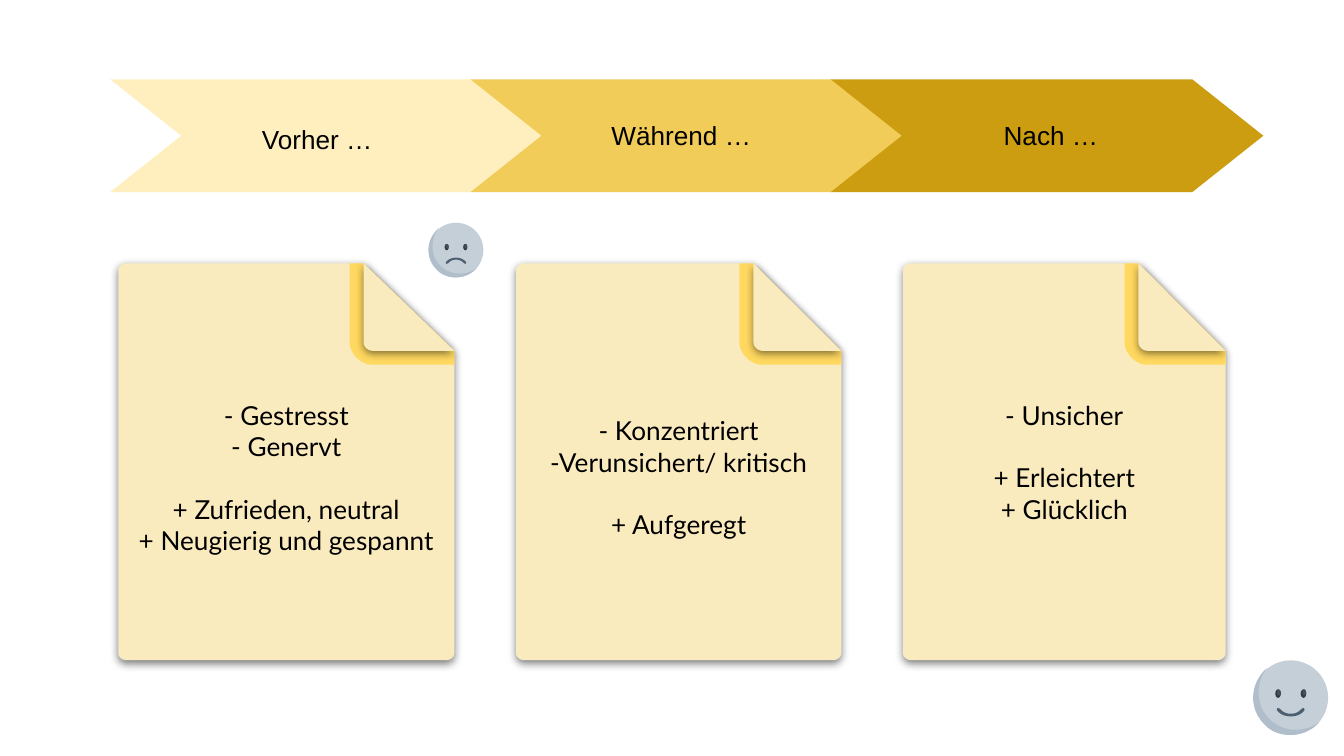
import pptx
import pptx.util
import pptx.dml.color
import pptx.enum.shapes
import pptx.enum.text
import pptx.oxml
import pptx.oxml.ns

Pt = pptx.util.Pt
MSO_SHAPE = pptx.enum.shapes.MSO_SHAPE
PP_ALIGN = pptx.enum.text.PP_ALIGN

COLORS = {
    "paper": "FAEBBE", "fold": "FFD860", "text": "000000",
    "before": "FFEFBF", "during": "F2CC58", "after": "CC9D10",
    "face": "C5CFD8", "shade": "B0BDCB", "mouth": "4C5F71",
    "eye": "383838", "glint": "3C5164",
}

SHADOW = (
    '<a:outerShdw %s blurRad="57150" dist="19050" dir="5400000" algn="bl" rotWithShape="0">'
    '<a:srgbClr val="000000"><a:alpha val="50000"/></a:srgbClr></a:outerShdw>'
    % pptx.oxml.ns.nsdecls("a")
)

SHADE = [
    (-.315, -.4), (-.55, -.2, -.57, .15, -.35, .36),
    (-.26, .46, -.13, .5, -.01, .5), (.13, .5, .28, .45, .39, .32),
    (.3, .4, .17, .43, .06, .43), (-.13, .43, -.3, .32, -.39, .14),
    (-.46, -.04, -.44, -.24, -.315, -.4),
]
SMILE = [
    (-.17, -.055), (-.19, -.055, -.19, -.035, -.18, -.02),
    (-.13, .035, -.07, .055, 0, .055), (.07, .055, .13, .035, .18, -.02),
    (.19, -.035, .18, -.055, .17, -.055), (.16, -.055, .15, -.05, .14, -.04),
    (.1, 0, .06, .02, 0, .02), (-.06, .02, -.1, 0, -.14, -.04),
    (-.15, -.05, -.16, -.055, -.17, -.055),
]


def rgb(name):
    return pptx.dml.color.RGBColor.from_string(COLORS[name])


def flatten(segments, steps=12):
    points = [segments[0]]
    for seg in segments[1:]:
        if len(seg) == 2:
            points.append(seg)
            continue
        start = points[-1]
        controls = (start, seg[:2], seg[2:4], seg[4:])
        for i in range(1, steps + 1):
            t = i / steps
            weights = ((1 - t) ** 3, 3 * t * (1 - t) ** 2, 3 * t * t * (1 - t), t ** 3)
            points.append(tuple(sum(w * c[axis] for w, c in zip(weights, controls))
                                for axis in (0, 1)))
    return points


class Deck:
    size = 14
    label_font = "Arial"
    note_font = "Lato"

    def __init__(self, width, height):
        self.prs = pptx.Presentation()
        self.prs.slide_width, self.prs.slide_height = Pt(width), Pt(height)
        self.s = self.prs.slides.add_slide(self.prs.slide_layouts[6])

    def paint(self, sp, color, shadow=False):
        sp.fill.solid()
        sp.fill.fore_color.rgb = rgb(color)
        sp.line.fill.background()
        sp.shadow.inherit = False
        if shadow:
            effects = sp._element.spPr.find(pptx.oxml.ns.qn("a:effectLst"))
            effects.append(pptx.oxml.parse_xml(SHADOW))
        return sp

    def shape(self, shapes, kind, x, y, w, h, color):
        return self.paint(shapes.add_shape(kind, Pt(x), Pt(y), Pt(w), Pt(h)), color)

    def outline(self, shapes, segments, color, shadow=False):
        points = [(Pt(x), Pt(y)) for x, y in flatten(segments)]
        builder = shapes.build_freeform(*points[0], scale=1.0)
        builder.add_line_segments(points[1:], close=True)
        return self.paint(builder.convert_to_shape(), color, shadow)

    def run(self, p, text, font):
        r = p.add_run()
        r.text = text
        r.font.name, r.font.size = font, Pt(self.size)
        r.font.color.rgb = rgb("text")

    def chevron(self, x, color):
        sp = self.shape(self.s.shapes, MSO_SHAPE.CHEVRON, x, 42.5, 231.8, 60.5, color)
        sp.adjustments[0] = .63

    def label(self, x, y, w, text):
        tf = self.s.shapes.add_textbox(Pt(x), Pt(y), Pt(w), Pt(24.5)).text_frame
        tf.word_wrap = False
        tf.auto_size = pptx.enum.text.MSO_AUTO_SIZE.SHAPE_TO_FIT_TEXT
        self.run(tf.paragraphs[0], text, self.label_font)

    def note(self, x, w, groups, drop):
        shapes = self.s.shapes.add_group_shape().shapes
        y, h, rx, ry, depth, edge = 141.1, 212.6, 4.3, 3.6, 46.8, 7.5
        right, bottom, fold = x + w, y + h, x + w * .73
        sp = self.outline(shapes, [
            (x + rx, y), (x + rx / 2, y, x, y + ry / 2, x, y + ry),
            (x, bottom - ry), (x, bottom - ry / 2, x + rx / 2, bottom, x + rx, bottom),
            (right - rx, bottom),
            (right - rx / 2, bottom, right, bottom - ry / 2, right, bottom - ry),
            (right, y + depth), (fold, y)], "paper", True)
        for gap, color in ((edge, "fold"), (0, "paper")):
            left, low, curve = fold - gap, y + depth + gap, 4.5 + gap
            self.outline(shapes, [
                (fold, y), (left, y), (left, low - curve),
                (left, low - curve / 2, left + curve / 2, low, left + curve, low),
                (right, low), (right, y + depth)], color, color == "paper")
        tf = sp.text_frame
        tf.word_wrap = True
        tf.vertical_anchor = pptx.enum.text.MSO_ANCHOR.MIDDLE
        tf.margin_left = tf.margin_right = tf.margin_bottom = Pt(7.2)
        tf.margin_top = Pt(7.2 + drop)
        for g, lines in enumerate(groups):
            for i, text in enumerate(lines):
                first = g == i == 0
                p = tf.paragraphs[0] if first else tf.add_paragraph()
                p.alignment = PP_ALIGN.CENTER
                p.space_before = Pt(16.8 if g and not i else 0)
                self.run(p, text, self.note_font)

    def face(self, cx, cy, d, mood):
        shapes = self.s.shapes.add_group_shape().shapes

        def oval(dx, dy, w, h, color):
            self.shape(shapes, MSO_SHAPE.OVAL, cx + (dx - w / 2) * d,
                       cy + (dy - h / 2) * d, w * d, h * d, color)

        def trace(segments, dy, flip, color):
            self.outline(shapes, [
                tuple(cy + (dy + flip * v) * d if i % 2 else cx + v * d
                      for i, v in enumerate(seg)) for seg in segments], color)

        oval(0, 0, 1, 1, "face")
        trace(SMILE, .195, mood, "mouth")
        for dx in (-.17, .17):
            oval(dx, -.055, .075, .115, "eye")
            oval(dx + .01, -.07, .05, .08, "glint")
        trace(SHADE, 0, 1, "shade")


def main():
    deck = Deck(720, 405)
    notes = [
        (63.4, 180, [["- Gestresst", "- Genervt"],
                     ["+ Zufrieden, neutral", "+ Neugierig und gespannt"]], 16.8),
        (276.5, 174.2, [["- Konzentriert", "-Verunsichert/ kritisch"], ["+ Aufgeregt"]], 16.8),
        (483.8, 172.8, [["- Unsicher"], ["+ Erleichtert", "+ Glücklich"]], 0),
    ]
    for note in notes:
        deck.note(*note)
    for i, color in enumerate(("before", "during", "after")):
        deck.chevron(59 + 193 * i, color)
    deck.label(133.2, 62.6, 79.9, "Vorher …")
    deck.label(320.4, 60.5, 92.9, "Während …")
    deck.label(530.6, 60.5, 69.8, "Nach …")
    deck.face(691.5, 373.8, 40, 1)
    deck.face(244.3, 134, 29.3, -1)
    deck.prs.save("out.pptx")


if __name__ == "__main__":
    main()
